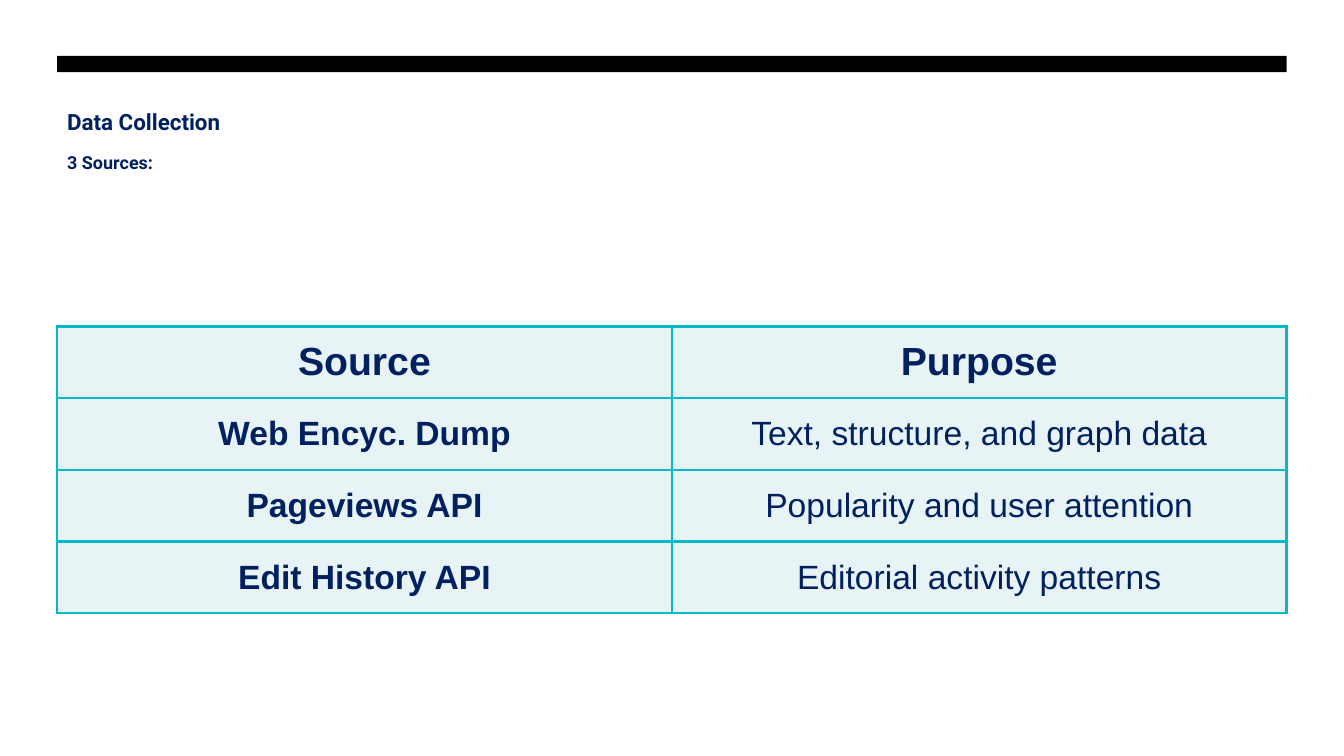
from lxml import etree
from pptx import Presentation
from pptx.dml.color import RGBColor
from pptx.enum.shapes import MSO_SHAPE
from pptx.enum.text import MSO_ANCHOR, MSO_AUTO_SIZE, PP_ALIGN
from pptx.oxml.ns import qn
from pptx.util import Pt

RECTANGLE = MSO_SHAPE.RECTANGLE
TOP, MIDDLE = MSO_ANCHOR.TOP, MSO_ANCHOR.MIDDLE
LEFT, CENTER = PP_ALIGN.LEFT, PP_ALIGN.CENTER
NO_FIT = MSO_AUTO_SIZE.NONE

BLACK = RGBColor(0x00, 0x00, 0x00)
NAVY = RGBColor(0x00, 0x20, 0x60)
TEAL = RGBColor(0x00, 0xBA, 0xC8)
PALE = RGBColor(0xE7, 0xF3, 0xF5)

MARGIN, CONTENT_WIDTH = 40.8, 878.2
SOURCES = [
    ("Source", "Purpose"),
    ("Web Encyc. Dump", "Text, structure, and graph data"),
    ("Pageviews API", "Popularity and user attention"),
    ("Edit History API", "Editorial activity patterns"),
]


class SlideBuilder:
    title_font = "Roboto"
    table_font = "Arial"

    def __init__(self, deck):
        self.page = deck.slides.add_slide(deck.slide_layouts[5])

    def style(self, para, font_name, size, bold, align):
        para.alignment = align
        for span in para.runs:
            span.font.name = font_name
            span.font.size = Pt(size)
            span.font.bold = bold
            span.font.color.rgb = NAVY

    def bar(self, left, top, width, height):
        bar = self.page.shapes.add_shape(
            RECTANGLE, Pt(left), Pt(top), Pt(width), Pt(height))
        bar.shadow.inherit = False
        bar.fill.solid()
        bar.fill.fore_color.rgb = BLACK
        bar.line.fill.background()

    def title(self, left, top, width, height, lines, gap):
        box = self.page.shapes.title
        box.left, box.top = Pt(left), Pt(top)
        box.width, box.height = Pt(width), Pt(height)
        frame = box.text_frame
        frame.text = "\n".join(text for text, size in lines)
        frame.word_wrap = True
        frame.auto_size = NO_FIT
        frame.vertical_anchor = TOP
        for index, (para, (text, size)) in enumerate(zip(frame.paragraphs, lines)):
            para.line_spacing = 0.8
            para.space_before = Pt(gap if index else 0)
            self.style(para, self.title_font, size, True, LEFT)

    def borders(self, cell, width):
        properties = cell._tc.get_or_add_tcPr()
        for side in ("lnL", "lnR", "lnT", "lnB"):
            line = etree.SubElement(properties, qn(f"a:{side}"), w=str(Pt(width)))
            fill = etree.SubElement(line, qn("a:solidFill"))
            etree.SubElement(fill, qn("a:srgbClr"), val=str(TEAL))

    def table(self, left, top, width, row_height, rows):
        table = self.page.shapes.add_table(
            len(rows), len(rows[0]), Pt(left), Pt(top),
            Pt(width), Pt(row_height * len(rows))).table
        for row_index, row in enumerate(rows):
            table.rows[row_index].height = Pt(row_height)
            for column, text in enumerate(row):
                cell = table.cell(row_index, column)
                cell.text = text
                cell.vertical_anchor = MIDDLE
                self.borders(cell, 1.98)
                cell.fill.solid()
                cell.fill.fore_color.rgb = PALE
                header = row_index == 0
                self.style(cell.text_frame.paragraphs[0], self.table_font,
                           28 if header else 24, header or column == 0, CENTER)


def main():
    deck = Presentation()
    deck.slide_width, deck.slide_height = Pt(960), Pt(540)
    builder = SlideBuilder(deck)

    # Top rule and heading
    builder.bar(MARGIN, 40, CONTENT_WIDTH, 11.5)
    builder.title(MARGIN, 77, CONTENT_WIDTH, 75.6,
                  [("Data Collection", 16), ("3 Sources:", 12.8)], gap=15)

    # Sources and what each is for
    builder.table(MARGIN, 233.2, CONTENT_WIDTH, 51.2, SOURCES)

    deck.save("out.pptx")


if __name__ == "__main__":
    main()
